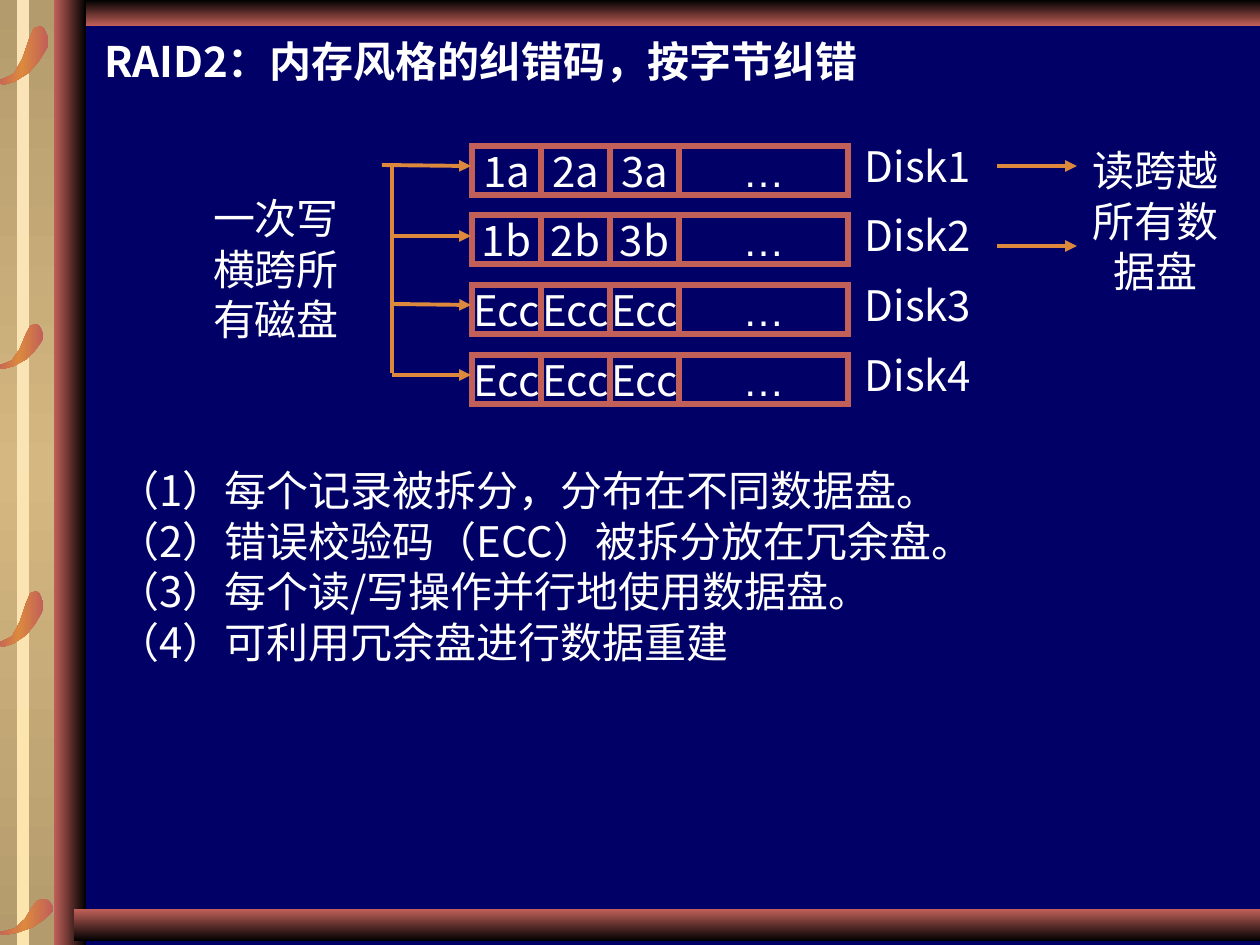
from typing import NamedTuple

from lxml.etree import SubElement
from pptx import Presentation
from pptx.dml.color import RGBColor
from pptx.enum.shapes import MSO_CONNECTOR, MSO_SHAPE
from pptx.enum.text import MSO_ANCHOR, PP_ALIGN
from pptx.oxml.ns import qn
from pptx.util import Pt

EMU_PER_PX = 914400 / 126
COLORS = {
    "navy": "000066", "black": "000000", "white": "FFFFFF", "brick": "C16059",
    "amber": "DC893E", "sand": "B49B6D", "tan": "D5B781",
    "cream": "FAE3B7", "butter": "FBE4AE",
}
SANS = "Noto Sans CJK SC"
DOWN, RIGHT = 270, 0


class Box(NamedTuple):
    left: int
    top: int
    width: int
    height: int


class Bar(NamedTuple):
    box: Box
    colors: tuple[str, ...]
    direction: int = DOWN


class Line(NamedTuple):
    x1: int
    y1: int
    x2: int
    y2: int
    arrow: bool = True


class Style(NamedTuple):
    font: str = SANS
    bold: bool = False
    align: PP_ALIGN = PP_ALIGN.LEFT
    anchor: MSO_ANCHOR = MSO_ANCHOR.MIDDLE
    wrap: bool = True
    margins: tuple[int, int] = (0, 0)


BACK_BARS = [
    Bar(Box(84, 0, 1176, 26), ("black", "brick")),
    Bar(Box(0, 0, 69, 945), ("sand", "tan", "sand")),
    Bar(Box(17, 0, 12, 945), ("cream", "butter")),
]
FRONT_BARS = [
    Bar(Box(54, 0, 32, 945), ("brick", "black"), RIGHT),
    Bar(Box(74, 909, 1186, 32), ("brick", "black")),
]
LEAVES = [Box(-5, 899, 59, 36), Box(-5, 591, 49, 56),
          Box(-5, 324, 49, 45), Box(-5, 26, 54, 59)]
# Corners of a leaf, in percent of its box.
LEAF_OUTLINE = [
    (0, 94), (16, 89), (35, 81), (51, 55), (63, 23), (72, 4), (84, 0), (91, 4),
    (98, 17), (98, 36), (81, 60), (63, 79), (37, 94), (16, 100),
]

DISKS = [("1a", "2a", "3a"), ("1b", "2b", "3b"), ("Ecc",) * 3, ("Ecc",) * 3]
DISK_LEFT, DISK_TOP, DISK_SPAN = 472, 146, 209
BLOCK_WIDTH, REST_WIDTH, BLOCK_HEIGHT = 69, 169, 49
LINES = [
    Line(997, 166, 1077, 166), Line(997, 246, 1077, 246),
    Line(392, 304, 471, 305), Line(382, 165, 471, 166),
    Line(392, 236, 471, 236), Line(392, 375, 471, 375),
    Line(392, 373, 392, 165, arrow=False),
]
NOTES = [
    "（1）每个记录被拆分，分布在不同数据盘。",
    "（2）错误校验码（ECC）被拆分放在冗余盘。",
    "（3）每个读/写操作并行地使用数据盘。",
    "（4）可利用冗余盘进行数据重建",
]
LABEL = Style(align=PP_ALIGN.CENTER, wrap=False)
BLOCK_LABEL = LABEL._replace(margins=(13, 6))


def px(length: float) -> int:
    return round(length * EMU_PER_PX)


def rgb(name: str) -> RGBColor:
    return RGBColor.from_string(COLORS[name])


def fill_gradient(shape, colors: tuple[str, ...], direction: int) -> None:
    """Fill with evenly spaced colour stops and no outline."""
    shape.shadow.inherit = False
    shape.line.fill.background()
    shape.fill.gradient()
    shape.fill.gradient_angle = direction
    stops = shape._element.spPr.find(".//" + qn("a:gsLst"))
    for stop in list(stops):
        stops.remove(stop)
    for index, name in enumerate(colors):
        position = str(100000 * index // (len(colors) - 1))
        stop = SubElement(stops, qn("a:gs"), pos=position)
        SubElement(stop, qn("a:srgbClr"), val=COLORS[name])


def draw_bar(page, bar: Bar) -> None:
    shape = page.shapes.add_shape(MSO_SHAPE.RECTANGLE, *map(px, bar.box))
    fill_gradient(shape, bar.colors, bar.direction)


def draw_leaf(page, box: Box) -> None:
    points = [(px(box.left + x * box.width / 100), px(box.top + y * box.height / 100))
              for x, y in LEAF_OUTLINE]
    builder = page.shapes.build_freeform(*points[0])
    builder.add_line_segments(points[1:], close=True)
    fill_gradient(builder.convert_to_shape(), ("brick", "amber", "brick"), RIGHT)


def write(shape, lines: list[str], style: Style) -> None:
    frame = shape.text_frame
    frame.word_wrap = style.wrap
    frame.vertical_anchor = style.anchor
    frame.margin_left = frame.margin_right = px(style.margins[0])
    frame.margin_top = frame.margin_bottom = px(style.margins[1])
    for index, line in enumerate(lines):
        para = frame.add_paragraph() if index else frame.paragraphs[0]
        para.add_run().text = line
        para.alignment = style.align
        font = para.font
        font.size, font.bold, font.name = Pt(24), style.bold, style.font
        font.color.rgb = rgb("white")
        SubElement(font._element, qn("a:ea"), typeface=style.font)


def draw_text(page, box: Box, lines: list[str], style: Style) -> None:
    write(page.shapes.add_textbox(*map(px, box)), lines, style)


def draw_block(page, box: Box, label: str, style: Style) -> None:
    shape = page.shapes.add_shape(MSO_SHAPE.RECTANGLE, *map(px, box))
    shape.shadow.inherit = False
    shape.fill.background()
    shape.line.color.rgb = rgb("brick")
    shape.line.width = Pt(3)
    SubElement(shape.line._get_or_add_ln(), qn("a:miter"), lim="800000")
    write(shape, [label], style)


def draw_disk(page, index: int, blocks: tuple[str, ...]) -> None:
    top = DISK_TOP + index * DISK_SPAN // (len(DISKS) - 1)
    for column, label in enumerate(blocks):
        left = DISK_LEFT + column * BLOCK_WIDTH
        draw_block(page, Box(left, top, BLOCK_WIDTH, BLOCK_HEIGHT), label, BLOCK_LABEL)
    rest = Box(DISK_LEFT + len(blocks) * BLOCK_WIDTH, top, REST_WIDTH, BLOCK_HEIGHT)
    draw_block(page, rest, "…", BLOCK_LABEL._replace(font="Arial"))
    draw_text(page, Box(858, top, 120, 40), [f"Disk{index + 1}"], LABEL)


def draw_line(page, line: Line) -> None:
    connector = page.shapes.add_connector(MSO_CONNECTOR.STRAIGHT, *map(px, line[:4]))
    connector.line.color.rgb = rgb("amber")
    connector.line.width = Pt(2.25)
    if line.arrow:
        SubElement(connector.line._get_or_add_ln(), qn("a:tailEnd"), type="triangle")
    SubElement(connector._element.spPr, qn("a:effectLst"))


def main() -> None:
    deck = Presentation()
    deck.slide_width, deck.slide_height = px(1260), px(945)
    page = deck.slides.add_slide(deck.slide_layouts[6])
    page.background.fill.solid()
    page.background.fill.fore_color.rgb = rgb("navy")
    for bar in BACK_BARS:
        draw_bar(page, bar)
    for leaf in LEAVES:
        draw_leaf(page, leaf)
    for bar in FRONT_BARS:
        draw_bar(page, bar)

    draw_text(page, Box(104, 36, 1092, 50), ["RAID2：内存风格的纠错码，按字节纠错"],
              Style(bold=True, anchor=MSO_ANCHOR.TOP))
    for index, blocks in enumerate(DISKS):
        draw_disk(page, index, blocks)
    draw_text(page, Box(1076, 145, 159, 151), ["读跨越所有数据盘"],
              Style(font="Arial", align=PP_ALIGN.CENTER))
    draw_text(page, Box(104, 459, 1101, 214), NOTES,
              Style(anchor=MSO_ANCHOR.TOP, margins=(13, 6)))
    draw_text(page, Box(213, 193, 159, 151), ["一次写横跨所有磁盘"], Style(font="Arial"))
    for line in LINES:
        draw_line(page, line)
    deck.save("out.pptx")


if __name__ == "__main__":
    main()
